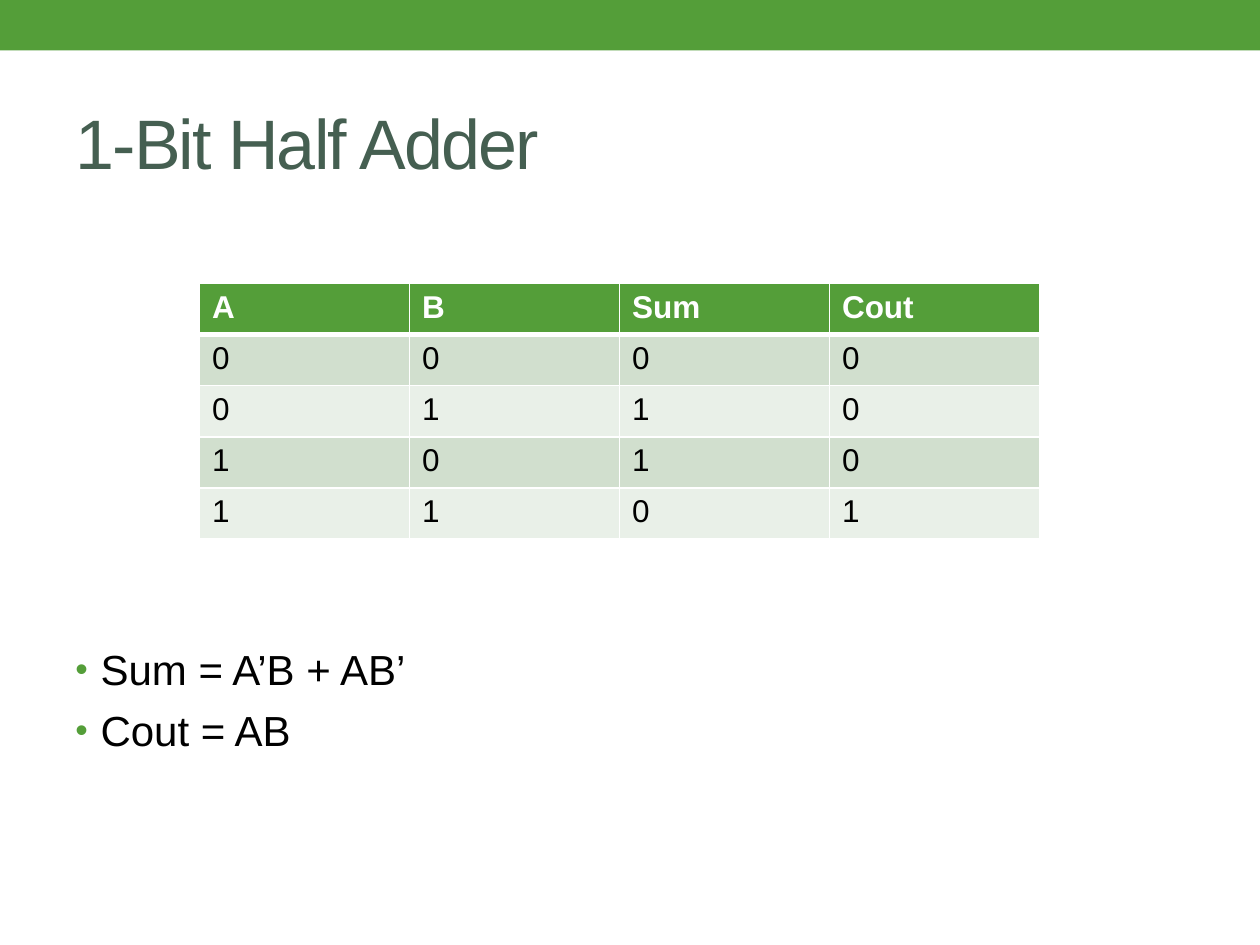
import pptx
import pptx.dml.color
import pptx.enum.shapes
import pptx.enum.text
import pptx.oxml.ns
import pptx.util
from lxml import etree

Pt = pptx.util.Pt
RGBColor = pptx.dml.color.RGBColor

GREEN = RGBColor(0x54, 0x9E, 0x39)
SLATE = RGBColor(0x45, 0x5F, 0x51)
BLACK = RGBColor(0, 0, 0)
WHITE = RGBColor(0xFF, 0xFF, 0xFF)
BANDS = (RGBColor(0xD1, 0xDF, 0xCE), RGBColor(0xE9, 0xF0, 0xE8))

TRUTH_TABLE = [
    ("A", "B", "Sum", "Cout"),
    ("0", "0", "0", "0"),
    ("0", "1", "1", "0"),
    ("1", "0", "1", "0"),
    ("1", "1", "0", "1"),
]
EQUATIONS = ["Sum = A’B + AB’", "Cout = AB"]


def add_element(parent, tag, **attributes):
    return etree.SubElement(parent, pptx.oxml.ns.qn(tag), attributes)


class SlideBuilder:
    font = "Arial"

    def __init__(self, slide):
        self.slide = slide

    def add_run(self, paragraph, text, size, color, bold=False):
        run = paragraph.add_run()
        run.text = text
        run.font.name = self.font
        run.font.size = Pt(size)
        run.font.bold = bold
        run.font.color.rgb = color
        return run

    def add_bar(self, left, top, width, height, color):
        bar = self.slide.shapes.add_shape(
            pptx.enum.shapes.MSO_SHAPE.RECTANGLE,
            Pt(left), Pt(top), Pt(width), Pt(height))
        bar.shadow.inherit = False
        bar.fill.solid()
        bar.fill.fore_color.rgb = color
        bar.line.fill.background()

    def add_text_frame(self, left, top, width, height):
        frame = self.slide.shapes.add_textbox(
            Pt(left), Pt(top), Pt(width), Pt(height)).text_frame
        frame.word_wrap = True
        return frame

    def add_title(self, text, left, top, width, height):
        frame = self.add_text_frame(left, top, width, height)
        frame.vertical_anchor = pptx.enum.text.MSO_ANCHOR.MIDDLE
        run = self.add_run(frame.paragraphs[0], text, 40, SLATE)
        run.font._element.set("spc", "-100")

    def add_bullets(self, items, left, top, width, height):
        frame = self.add_text_frame(left, top, width, height)
        for index, item in enumerate(items):
            paragraph = frame.add_paragraph() if index else frame.paragraphs[0]
            paragraph.space_after = Pt(6)
            properties = paragraph._p.get_or_add_pPr()
            properties.set("marL", str(Pt(14.4)))
            properties.set("indent", str(-Pt(14.4)))
            bullet_color = add_element(properties, "a:buClr")
            add_element(bullet_color, "a:srgbClr", val=str(GREEN))
            add_element(properties, "a:buSzPct", val="85000")
            add_element(properties, "a:buFont", typeface=self.font)
            add_element(properties, "a:buChar", char="•")
            self.add_run(paragraph, item, 24, BLACK)

    def add_borders(self, cell, top, bottom):
        """Draw white cell edges; must run before the cell's fill is set."""
        properties = cell._tc.get_or_add_tcPr()
        for side, width in zip("LRTB", (1, 1, top, bottom)):
            edge = add_element(properties, f"a:ln{side}", w=str(Pt(width)))
            fill = add_element(edge, "a:solidFill")
            add_element(fill, "a:srgbClr", val=str(WHITE))

    def add_table(self, rows, left, top, column_width, row_height):
        table = self.slide.shapes.add_table(
            len(rows), len(rows[0]), Pt(left), Pt(top),
            Pt(column_width * len(rows[0])), Pt(row_height * len(rows))).table
        for r, values in enumerate(rows):
            table.rows[r].height = Pt(row_height)
            header = r == 0
            for c, value in enumerate(values):
                cell = table.cell(r, c)
                self.add_borders(cell, 3 if r == 1 else 1, 3 if header else 1)
                cell.fill.solid()
                cell.fill.fore_color.rgb = GREEN if header else BANDS[(r - 1) % 2]
                self.add_run(cell.text_frame.paragraphs[0], value, 18,
                             WHITE if header else BLACK, header)


def main():
    presentation = pptx.Presentation()
    presentation.slide_width, presentation.slide_height = Pt(720), Pt(540)
    builder = SlideBuilder(
        presentation.slides.add_slide(presentation.slide_layouts[6]))
    builder.add_bar(0, 0, 720, 28.8, GREEN)
    builder.add_title("1-Bit Half Adder", 36, 42, 648, 78)
    builder.add_bullets(EQUATIONS, 36, 364.4, 648, 145)
    builder.add_table(TRUTH_TABLE, 114, 162, 120, 29.2)
    presentation.save("out.pptx")


if __name__ == "__main__":
    main()
